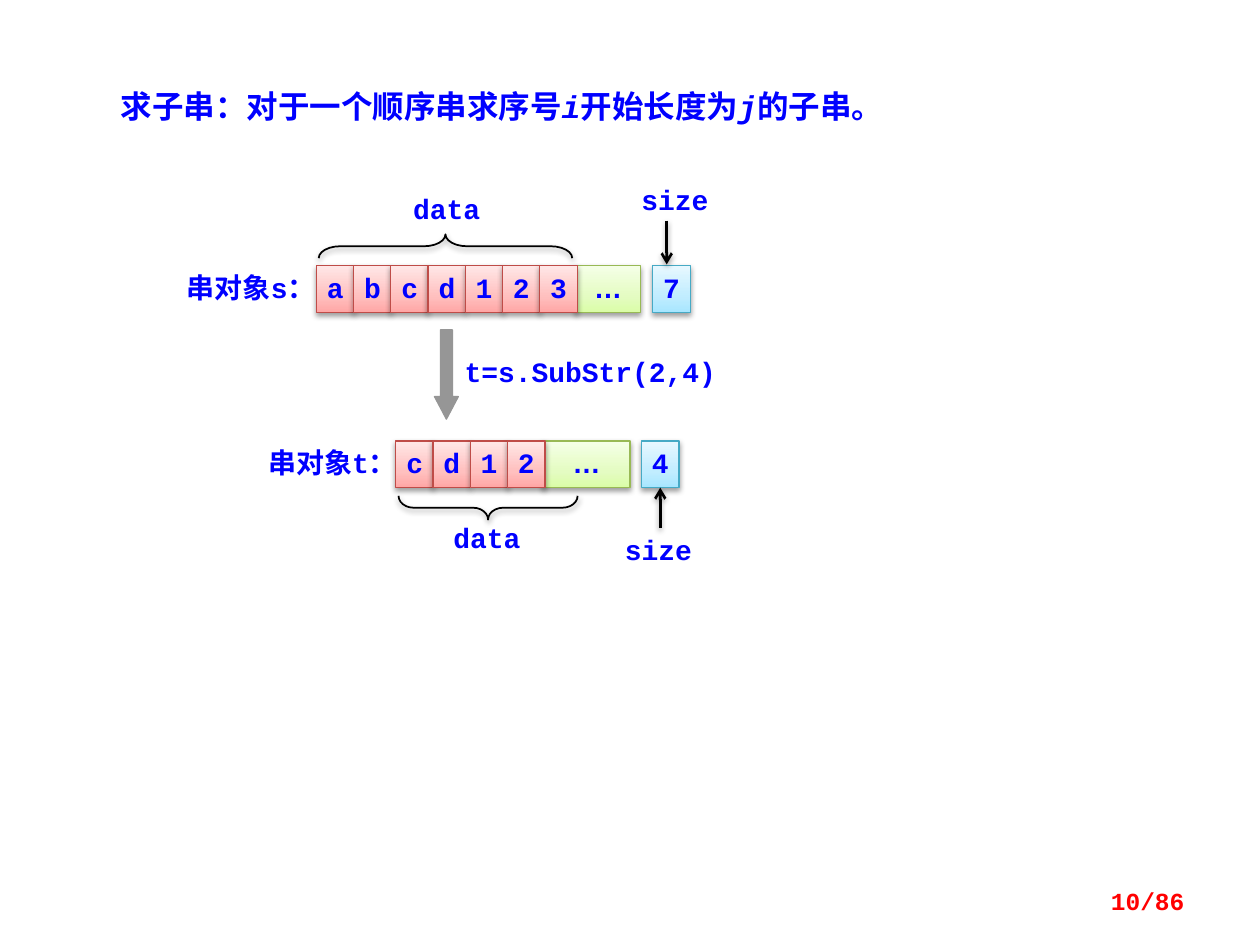
import pptx
import pptx.dml.color
import pptx.enum.shapes
import pptx.enum.text
import pptx.oxml
import pptx.oxml.ns
import pptx.util

Cm = pptx.util.Cm
Pt = pptx.util.Pt
SHAPES = pptx.enum.shapes.MSO_SHAPE
ALIGN = pptx.enum.text.PP_ALIGN
ANCHOR = pptx.enum.text.MSO_ANCHOR
NAMESPACE = pptx.oxml.ns.nsdecls("a")

COLORS = {"text": "0000FF", "page": "FF0000", "label": "FFFFFF",
          "arrow": "969696", "line": "000000"}
# Outline, then gradient stops from bottom to top
CELL_STYLES = {
    "data": ("BF4C48", ["FFA6A5", "FFC0BF", "FFE7E7"]),
    "free": ("98B955", ["DAFDA7", "E4FCC2", "F5FFE7"]),
    "size": ("46AAC5", ["A7E6FF", "C1EDFF", "E7F8FF"]),
}
STOPS = [0, 35000, 100000]
CODE_FONT = "Courier New"

TITLE = [("求子串：对于一个顺序串求序号", False), ("i", True),
         ("开始长度为", False), ("j", True), ("的子串。", False)]
PAGE_NUMBER = "10/86"

# Lengths in centimetres
CELL_WIDTH, CELL_PITCH, ROW_HEIGHT = 0.76, 0.75, 0.94
LABELS = [  # text, left, top, width
    ("串对象t：", 5.23, 8.89, 2.95),
    ("串对象s：", 3.58, 5.36, 2.97),
    ("data", 8.13, 3.76, 1.75),
    ("data", 8.94, 10.39, 1.75),
    ("size", 12.73, 3.58, 1.75),
    ("size", 12.4, 10.64, 1.75),
    ("t=s.SubStr(2,4)", 9.32, 7.04, 5.16),
]
STRINGS = [
    {"data": "abcd123", "left": 6.38, "top": 5.36, "free": (11.61, 1.3),
     "size": ("7", 13.16), "arrow": (13.44, 4.45, 5.33), "joined": False},
    {"data": "cd12", "left": 7.98, "top": 8.89, "free": (10.95, 1.75),
     "size": ("4", 12.93), "arrow": (13.31, 10.64, 9.83), "joined": True},
]
BRACES = [  # left, top, width, height, rotation, curve
    (8.74, 2.41, 0.48, 5.11, 90, 0.901),
    (9.6, 8.43, 0.48, 3.61, 270, 0.634),
]


def rgb(value):
    return pptx.dml.color.RGBColor.from_string(value)


def add_run(paragraph, text, size, color, font=CODE_FONT, italic=False):
    run = paragraph.add_run()
    run.text = text
    run.font.name = font
    run.font.size = Pt(size)
    run.font.bold = True
    run.font.italic = italic
    run.font.color.rgb = rgb(color)


def add_shadow(properties):
    """Give the shape properties a soft shadow, replacing any effect list."""
    for effects in properties.findall(pptx.oxml.ns.qn("a:effectLst")):
        properties.remove(effects)
    properties.append(pptx.oxml.parse_xml(
        f'<a:effectLst {NAMESPACE}><a:outerShdw blurRad="40000" dist="20000" '
        'dir="5400000" rotWithShape="0"><a:srgbClr val="000000">'
        '<a:alpha val="38000"/></a:srgbClr></a:outerShdw></a:effectLst>'))


def add_plain_shape(slide, kind, left, top, width, height):
    shape = slide.shapes.add_shape(kind, Cm(left), Cm(top), Cm(width), Cm(height))
    shape.shadow.inherit = False
    return shape


def write_centered(shape, text, font=CODE_FONT):
    frame = shape.text_frame
    frame.margin_left = frame.margin_right = 0
    frame.margin_top = frame.margin_bottom = 0
    frame.vertical_anchor = ANCHOR.TOP
    paragraph = frame.paragraphs[0]
    paragraph.alignment = ALIGN.CENTER
    paragraph.line_spacing = Pt(22)
    add_run(paragraph, text, 16, COLORS["text"], font)


def add_label(slide, text, left, top, width):
    shape = add_plain_shape(slide, SHAPES.RECTANGLE, left, top, width, ROW_HEIGHT)
    shape.fill.solid()
    shape.fill.fore_color.rgb = rgb(COLORS["label"])
    shape.line.fill.background()
    write_centered(shape, text)


def add_cell(slide, style, text, left, top, width=CELL_WIDTH, font=CODE_FONT):
    outline, gradient = CELL_STYLES[style]
    shape = add_plain_shape(slide, SHAPES.RECTANGLE, left, top, width, ROW_HEIGHT)
    shape.line.color.rgb = rgb(outline)
    shape.line.width = Pt(0.75)
    stops = "".join(f'<a:gs pos="{position}"><a:srgbClr val="{color}"/></a:gs>'
                    for position, color in zip(STOPS, gradient))
    properties = shape._element.spPr
    properties.find(pptx.oxml.ns.qn("a:prstGeom")).addnext(pptx.oxml.parse_xml(
        f'<a:gradFill {NAMESPACE} rotWithShape="1"><a:gsLst>{stops}</a:gsLst>'
        '<a:lin ang="16200000" scaled="0"/></a:gradFill>'))
    add_shadow(properties)
    write_centered(shape, text, font)
    return shape


def add_size_arrow(slide, x, start, end, target=None):
    connector = slide.shapes.add_connector(
        pptx.enum.shapes.MSO_CONNECTOR.STRAIGHT, Cm(x), Cm(start), Cm(x), Cm(end))
    if target is not None:
        connector.end_connect(target, 2)
    connector.line.color.rgb = rgb(COLORS["line"])
    connector.line.width = Pt(1.5)
    connector.line._get_or_add_ln().append(
        pptx.oxml.parse_xml(f'<a:tailEnd {NAMESPACE} type="arrow"/>'))
    add_shadow(connector._element.spPr)


def add_string(slide, string):
    top = string["top"]
    free_left, free_width = string["free"]
    add_cell(slide, "free", "…", free_left, top, free_width, "Arial")
    for index, character in enumerate(string["data"]):
        add_cell(slide, "data", character, string["left"] + index * CELL_PITCH, top)
    size_text, size_left = string["size"]
    size_cell = add_cell(slide, "size", size_text, size_left, top)
    add_size_arrow(slide, *string["arrow"], size_cell if string["joined"] else None)


def add_brace(slide, left, top, width, height, rotation, curve):
    brace = add_plain_shape(slide, SHAPES.LEFT_BRACE, left, top, width, height)
    brace.rotation = rotation
    brace.adjustments[0] = curve
    brace.fill.background()
    brace.line.color.rgb = rgb(COLORS["line"])
    brace.line.width = Pt(1)
    add_shadow(brace._element.spPr)


def add_down_arrow(slide):
    arrow = add_plain_shape(slide, SHAPES.DOWN_ARROW, 8.76, 6.65, 0.48, 1.8)
    arrow.adjustments[1] = 0.944
    arrow.fill.solid()
    arrow.fill.fore_color.rgb = rgb(COLORS["arrow"])
    arrow.line.color.rgb = rgb(COLORS["arrow"])
    arrow.line.width = Pt(0.75)


def fill_title(title):
    title.left, title.top, title.width, title.height = (
        Cm(2.18), Cm(1.4), Cm(16.08), Cm(1.24))
    frame = title.text_frame
    frame.word_wrap = True
    frame.auto_size = pptx.enum.text.MSO_AUTO_SIZE.SHAPE_TO_FIT_TEXT
    frame.vertical_anchor = ANCHOR.TOP
    paragraph = frame.paragraphs[0]
    paragraph.alignment = ALIGN.LEFT
    paragraph.line_spacing = Pt(28)
    indents = paragraph._p.get_or_add_pPr()
    indents.set("marL", str(Cm(0.95)))
    indents.set("indent", str(-Cm(0.95)))
    for text, italic in TITLE:
        add_run(paragraph, text, 18, COLORS["text"], italic=italic)


def add_page_number(slide):
    box = slide.shapes.add_textbox(Cm(18.21), Cm(17.65), Cm(5.92), Cm(1.02))
    frame = box.text_frame
    frame.word_wrap = True
    frame.vertical_anchor = ANCHOR.MIDDLE
    paragraph = frame.paragraphs[0]
    paragraph.alignment = ALIGN.RIGHT
    add_run(paragraph, PAGE_NUMBER, 14, COLORS["page"])


def main():
    presentation = pptx.Presentation()
    presentation.slide_width, presentation.slide_height = Cm(25.4), Cm(19.05)
    slide = presentation.slides.add_slide(presentation.slide_layouts[5])
    fill_title(slide.shapes.title)
    for label in LABELS:
        add_label(slide, *label)
    for string in STRINGS:
        add_string(slide, string)
    for brace in BRACES:
        add_brace(slide, *brace)
    add_down_arrow(slide)
    add_page_number(slide)
    presentation.save("out.pptx")


if __name__ == "__main__":
    main()
